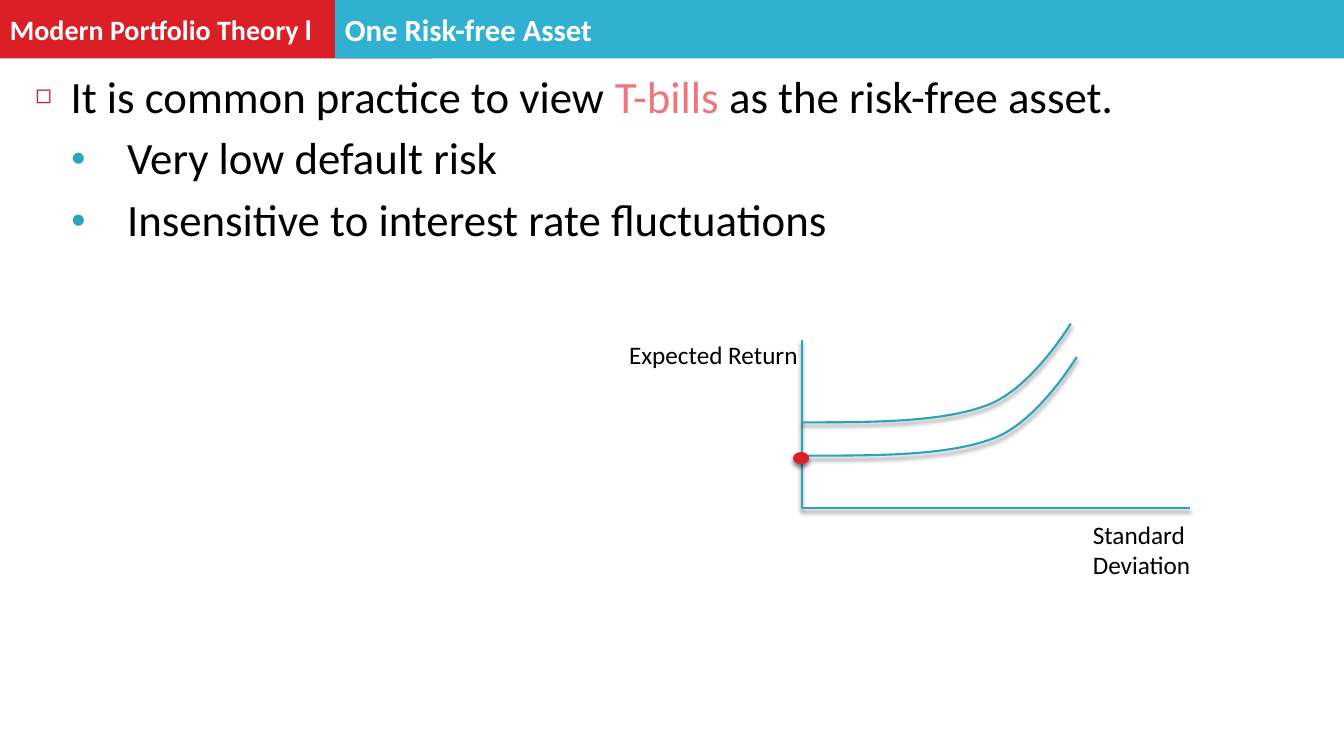
from pptx import Presentation
from pptx import util as u
from pptx.dml.color import RGBColor
from pptx.enum import shapes, text
from pptx.oxml import parse_xml
from pptx.oxml.ns import nsdecls, qn

COLORS = {
    "red": "DA1F27", "sky": "30B1D1", "teal": "2DA2BF", "dot": "DA1F28",
    "pink": "EC767C", "black": "000000", "white": "FFFFFF",
}


def color(name):
    return RGBColor.from_string(COLORS[name])


class SlideBuilder:
    font = "Calibri"
    line_width = 1.5

    def __init__(self, slide):
        self.slide = slide
        self.diagram = slide.shapes.add_group_shape()

    def run(self, paragraph, words, size, tint, bold=False):
        run = paragraph.add_run()
        run.text = words
        run.font.name, run.font.size = self.font, u.Pt(size)
        run.font.bold = bold
        run.font.color.rgb = color(tint)

    def place(self, shape, left, top, width, height):
        shape.left, shape.top = u.Inches(left), u.Inches(top)
        shape.width, shape.height = u.Inches(width), u.Inches(height)

    def banner(self, shape, words, size, fill):
        shape.fill.solid()
        shape.fill.fore_color.rgb = color(fill)
        frame = shape.text_frame
        frame.word_wrap = True
        frame.auto_size = text.MSO_AUTO_SIZE.NONE
        frame.vertical_anchor = text.MSO_ANCHOR.MIDDLE
        frame.paragraphs[0].alignment = text.PP_ALIGN.LEFT
        self.run(frame.paragraphs[0], words, size, "white", bold=True)

    def bullet(self, paragraph, runs, level, before):
        mark, tint, percent, margin, hanging = [
            ("◻", "dot", 60, 0.35, 0.35), ("•", "teal", 70, 0.91, 0.56)][level]
        paragraph.level = level
        paragraph.space_before = u.Pt(before)
        props = paragraph._p.get_or_add_pPr()
        props.set("marL", str(u.Inches(margin)))
        props.set("indent", str(-u.Inches(hanging)))
        for xml in (f'<a:buClr {nsdecls("a")}><a:srgbClr val="{COLORS[tint]}"/></a:buClr>',
                    f'<a:buSzPct {nsdecls("a")} val="{percent * 1000}"/>',
                    f'<a:buFont {nsdecls("a")} typeface="{self.font}"/>',
                    f'<a:buChar {nsdecls("a")} char="{mark}"/>'):
            props.append(parse_xml(xml))
        for words, shade in runs:
            self.run(paragraph, words, 32, shade)

    def outline(self, shape, tint, width):
        """Set the line of a diagram part and the soft shadow below it."""
        shape.line.color.rgb = color(tint)
        shape.line.width = u.Pt(width)
        props = shape.element.spPr
        for effects in props.findall(qn("a:effectLst")):
            props.remove(effects)
        props.append(parse_xml(
            f'<a:effectLst {nsdecls("a")}><a:outerShdw blurRad="{u.Pt(3)}" '
            f'dist="{u.Pt(2.4)}" dir="5400000" rotWithShape="0">'
            '<a:srgbClr val="000000"><a:alpha val="45000"/></a:srgbClr>'
            '</a:outerShdw></a:effectLst>'))

    def axis(self, start, end):
        line = self.diagram.shapes.add_connector(
            shapes.MSO_CONNECTOR.STRAIGHT, *map(u.Inches, start + end))
        self.outline(line, "teal", self.line_width)

    def curve(self, left, bottom, offsets):
        points = [(u.Inches(left + x), u.Inches(bottom - y)) for x, y in offsets]
        builder = self.diagram.shapes.build_freeform(u.Inches(left), u.Inches(bottom))
        builder.add_line_segments(points, close=False)
        frontier = builder.convert_to_shape()
        # Every three points become one Bezier segment
        segments = list(frontier.element.iter(qn("a:lnTo")))
        for first in range(0, len(segments), 3):
            bezier = parse_xml(f'<a:cubicBezTo {nsdecls("a")}/>')
            segments[first].addprevious(bezier)
            for segment in segments[first:first + 3]:
                bezier.append(segment[0])
                segment.getparent().remove(segment)
        frontier.fill.background()
        self.outline(frontier, "teal", self.line_width)

    def label(self, words, *box):
        caption = self.diagram.shapes.add_textbox(*map(u.Inches, box))
        caption.text_frame.word_wrap = True
        self.run(caption.text_frame.paragraphs[0], words, 18, "black")

    def dot(self, *box):
        asset = self.diagram.shapes.add_shape(
            shapes.MSO_SHAPE.OVAL, *map(u.Inches, box))
        asset.fill.solid()
        asset.fill.fore_color.rgb = color("dot")
        self.outline(asset, "dot", 0.79)


def main():
    deck = Presentation()
    deck.slide_width, deck.slide_height = u.Inches(13.33), u.Inches(7.5)
    slide = deck.slides.add_slide(deck.slide_layouts[1])
    builder = SlideBuilder(slide)

    # Header: the topic band lies behind the title band
    title, points = slide.placeholders
    builder.place(title, 3.32, 0, 10.02, 0.58)
    builder.banner(title, "One Risk-free Asset", 22, "sky")
    topic = slide.shapes.add_shape(
        shapes.MSO_SHAPE.RECTANGLE, 0, 0, u.Inches(4.29), u.Inches(0.58))
    topic.line.fill.background()
    topic.shadow.inherit = False
    builder.banner(topic, "Modern Portfolio Theory l", 20, "red")
    title.element.addprevious(topic.element)

    # Bulleted statements
    builder.place(points, 0.25, 0.63, 11.99, 1.88)
    body = points.text_frame
    body.auto_size = text.MSO_AUTO_SIZE.NONE
    statements = [
        (0, [("It is common practice to view ", "black"), ("T-bills ", "pink"),
             ("as the risk-free asset.", "black")]),
        (1, [("Very low default risk", "black")]),
        (1, [("Insensitive to interest rate fluctuations", "black")]),
    ]
    for number, (level, runs) in enumerate(statements):
        paragraph = body.add_paragraph() if number else body.paragraphs[0]
        builder.bullet(paragraph, runs, level, 5.5 if number else 0)

    # Risk and return diagram
    origin = (7.95, 5.04)
    builder.axis((7.95, 3.37), origin)
    builder.axis(origin, (11.8, 5.04))
    rise = [(0.7, 0), (1.39, 0), (1.84, 0.17), (2.28, 0.33), (2.67, 0.98), (2.67, 0.98)]
    for left, bottom in [(7.95, 4.19), (8.01, 4.52)]:
        builder.curve(left, bottom, rise)
    builder.label("Expected Return", 6.14, 3.32, 2.12, 0.26)
    builder.label("Standard Deviation", 10.74, 5.1, 2.12, 1.71)
    builder.dot(7.87, 4.49, 0.15, 0.11)

    deck.save("out.pptx")


if __name__ == "__main__":
    main()
